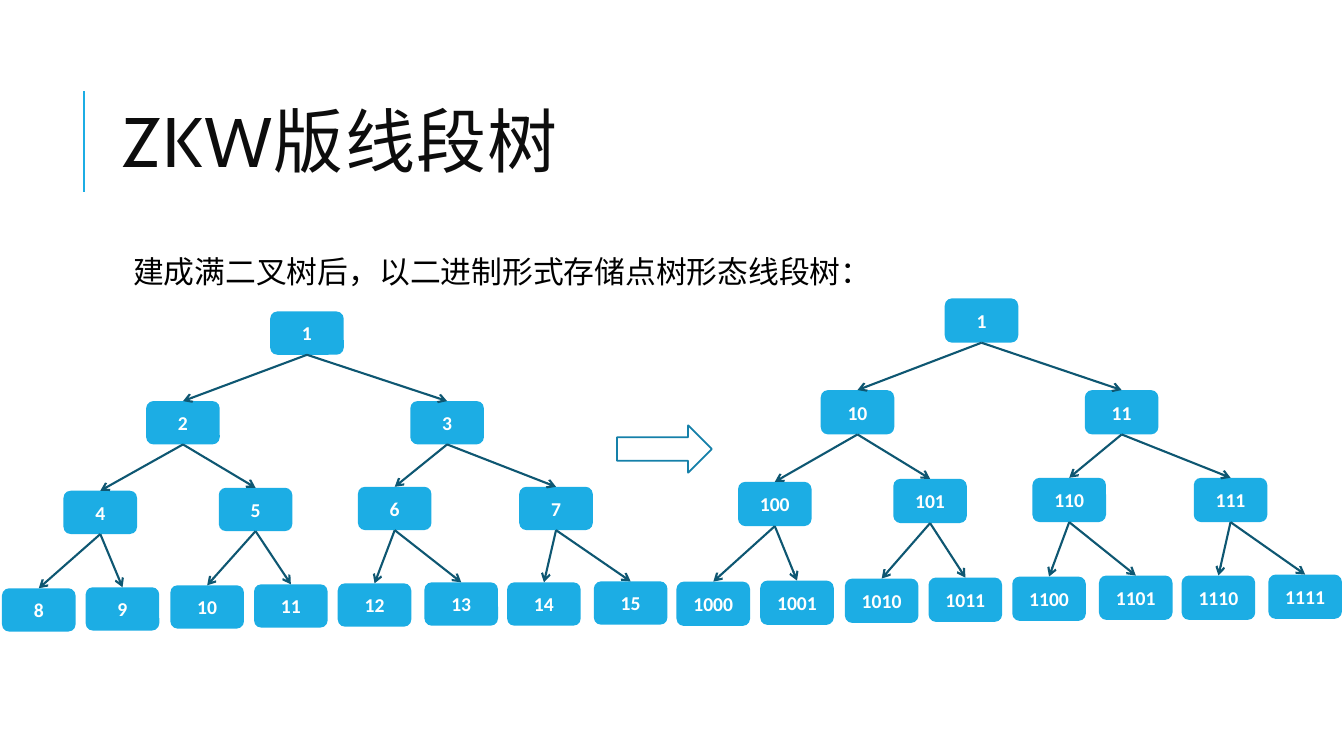
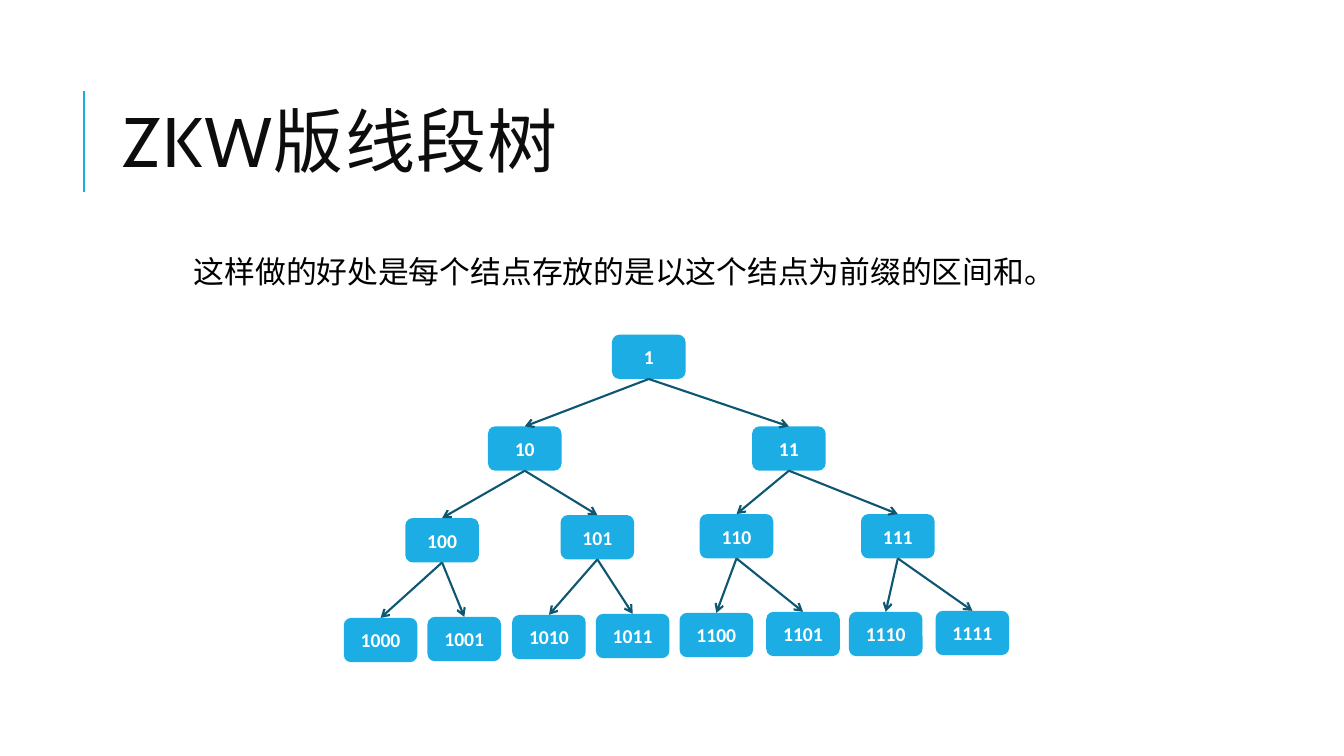
from dataclasses import dataclass

import pptx
import pptx.dml.color
import pptx.enum.shapes
import pptx.enum.text
import pptx.oxml.ns
import pptx.util
from lxml import etree
from pptx.util import Inches

# Content: label is a format code ("d" decimal, "b" binary); root is left, top
TITLE = "ZKW版线段树"
SLIDES = [
    {
        "body": "建成满二叉树后，以二进制形式存储点树形态线段树：",
        "indent": -0.1,
        "arrow": (6.12, 4.22, 0.94, 0.47),
        "trees": [
            {"label": "d", "root": (2.68, 3.09), "height": 0.43},
            {"label": "b", "root": (9.37, 2.96), "height": 0.44},
        ],
    },
    {
        "body": "这样做的好处是每个结点存放的是以这个结点为前缀的区间和。",
        "indent": 0.5,
        "arrow": None,
        "trees": [{"label": "b", "root": (6.07, 3.32), "height": 0.44}],
    },
]

# Offsets of nodes 1 to 15 from the root; node n has children 2n and 2n + 1
NODE_OFFSETS = [
    (0, 0),
    (-1.23, 0.91), (1.39, 0.91),
    (-2.05, 1.82), (-0.51, 1.79), (0.87, 1.78), (2.47, 1.78),
    (-2.66, 2.81), (-1.83, 2.8), (-0.99, 2.78), (-0.16, 2.77),
    (0.67, 2.76), (1.53, 2.75), (2.35, 2.75), (3.21, 2.74),
]
NODE_WIDTH = 0.73
FULL_NODE_HEIGHT = 0.44
BOTTOM_SITE, TOP_SITE = 2, 0


@dataclass(frozen=True)
class Theme:
    accent: str = "1CADE4"
    outline: str = "1580A9"
    edge: str = "0E5772"
    title: str = "0D0D0D"
    body: str = "000000"
    node_text: str = "FFFFFF"
    title_font: str = "Cabin"
    body_font: str = "Calibri"
    title_size: float = 50
    body_size: float = 22
    node_size: float = 14
    line_width: float = 1.5
    outline_width: float = 1.25


THEME = Theme()


# Shared helpers
def rgb(color):
    return pptx.dml.color.RGBColor.from_string(color)


def add_xml(parent, tag, **attributes):
    return etree.SubElement(parent, pptx.oxml.ns.qn(tag), **attributes)


def set_font(paragraph, name, size, color, bold=False):
    font = paragraph.font
    font.name, font.size, font.bold = name, pptx.util.Pt(size), bold
    font.color.rgb = rgb(color)
    return font


def add_line(slide, color, start=(0, 0), end=(0, 0)):
    line = slide.shapes.add_connector(
        pptx.enum.shapes.MSO_CONNECTOR.STRAIGHT, *map(Inches, start + end))
    line.line.color.rgb = rgb(color)
    line.line.width = pptx.util.Pt(THEME.line_width)
    add_xml(line._element.spPr, "a:effectLst")
    return line


def add_text(slide, box, text):
    shape = slide.shapes.add_textbox(*map(Inches, box))
    shape.text_frame.word_wrap = True
    paragraph = shape.text_frame.paragraphs[0]
    paragraph.text = text
    return shape.text_frame, paragraph


# Title with its accent line
def add_title(slide):
    add_line(slide, THEME.accent, (0.83, 1.9), (0.83, 0.9))
    frame, paragraph = add_text(slide, (1.12, 0.64, 10.63, 1.64), TITLE)
    frame.vertical_anchor = pptx.enum.text.MSO_ANCHOR.MIDDLE
    paragraph.line_spacing = 0.8
    font = set_font(paragraph, THEME.title_font, THEME.title_size, THEME.title)
    font._element.set("spc", "100")


# Body sentence with a blank bullet
def add_body(slide, text, indent):
    frame, paragraph = add_text(slide, (1.12, 2.5, 10.63, 4.4), text)
    frame.margin_left = frame.margin_right = Inches(0.05)
    frame.margin_top = frame.margin_bottom = Inches(0.05)
    paragraph.line_spacing = 0.9
    paragraph.space_before = pptx.util.Pt(12)
    paragraph.space_after = pptx.util.Pt(2)
    properties = paragraph._p.get_or_add_pPr()
    properties.set("marL", str(Inches(0.1)))
    properties.set("indent", str(Inches(indent)))
    add_xml(add_xml(properties, "a:buClr"), "a:srgbClr", val=THEME.accent)
    add_xml(properties, "a:buChar", char=" ")
    set_font(paragraph, THEME.body_font, THEME.body_size, THEME.body)


# Outlined arrow between two trees
def add_block_arrow(slide, box):
    arrow = slide.shapes.add_shape(
        pptx.enum.shapes.MSO_SHAPE.RIGHT_ARROW, *map(Inches, box))
    arrow.shadow.inherit = False
    arrow.fill.background()
    arrow.line.color.rgb = rgb(THEME.outline)
    arrow.line.width = pptx.util.Pt(THEME.outline_width)


# Tree of nodes joined by arrows
def add_node(slide, left, top, height, text):
    node = slide.shapes.add_shape(
        pptx.enum.shapes.MSO_SHAPE.ROUNDED_RECTANGLE,
        *map(Inches, (left, top, NODE_WIDTH, height)))
    node.shadow.inherit = False
    node.fill.solid()
    node.fill.fore_color.rgb = rgb(THEME.accent)
    node.line.fill.background()
    node.text_frame.vertical_anchor = pptx.enum.text.MSO_ANCHOR.MIDDLE
    paragraph = node.text_frame.paragraphs[0]
    paragraph.text = text
    paragraph.alignment = pptx.enum.text.PP_ALIGN.CENTER
    set_font(paragraph, THEME.body_font, THEME.node_size, THEME.node_text, True)
    return node


def add_tree(slide, label, root, height):
    left, top = root
    scale = height / FULL_NODE_HEIGHT
    nodes = {
        number: add_node(slide, left + across, top + down * scale, height,
                         format(number, label))
        for number, (across, down) in enumerate(NODE_OFFSETS, start=1)
    }
    for number in range(2, len(nodes) + 1):
        edge = add_line(slide, THEME.edge)
        edge.begin_connect(nodes[number // 2], BOTTOM_SITE)
        edge.end_connect(nodes[number], TOP_SITE)
        add_xml(edge.line._get_or_add_ln(), "a:tailEnd", type="arrow")


# Build the slides
presentation = pptx.Presentation()
presentation.slide_width = Inches(13.33)
presentation.slide_height = Inches(7.5)
blank_layout = presentation.slide_layouts[6]

for content in SLIDES:
    slide = presentation.slides.add_slide(blank_layout)
    add_title(slide)
    add_body(slide, content["body"], content["indent"])
    if content["arrow"]:
        add_block_arrow(slide, content["arrow"])
    for tree in content["trees"]:
        add_tree(slide, **tree)

presentation.save("out.pptx")
